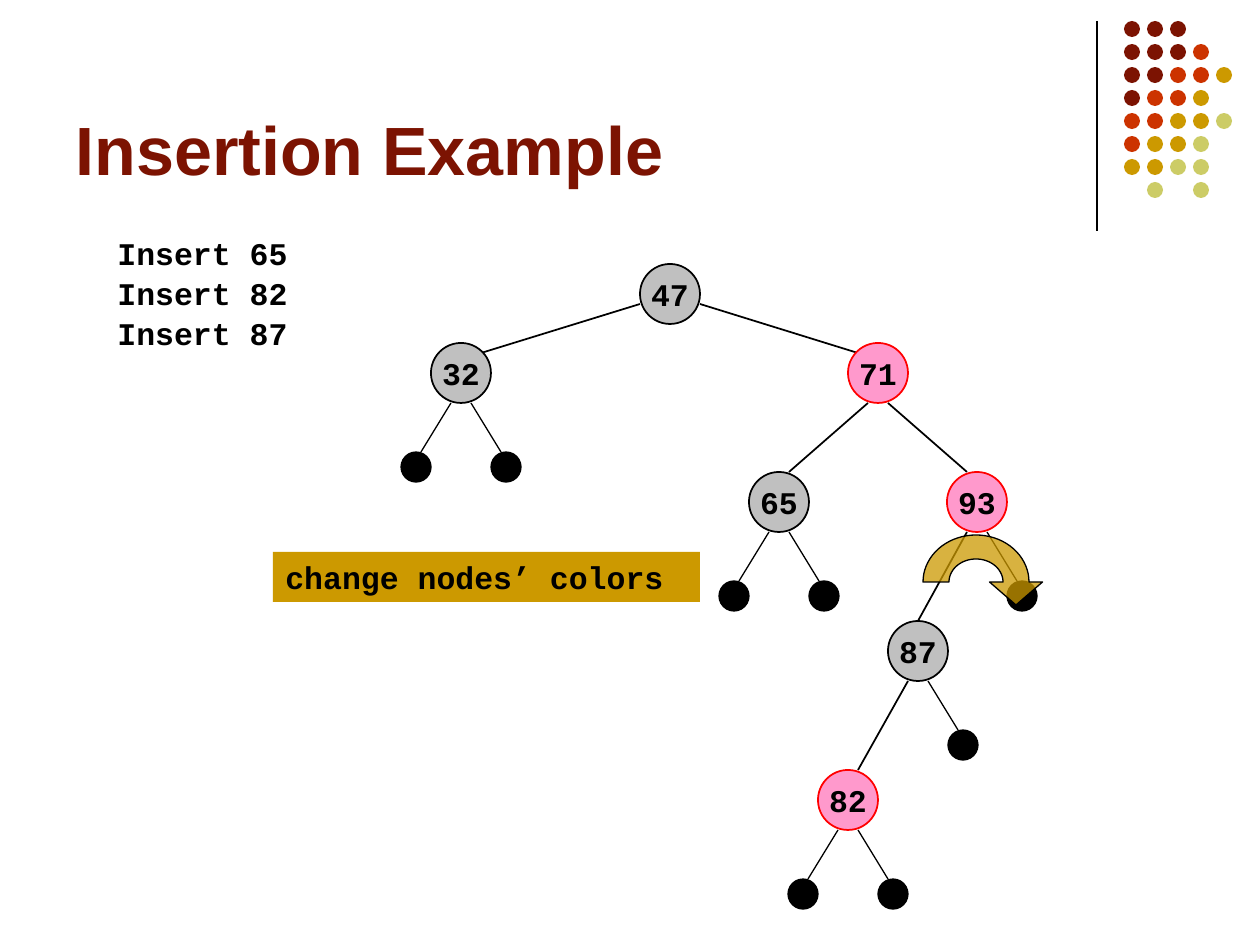
import math

from lxml import etree
from pptx import Presentation
from pptx import util as u
from pptx.dml.color import RGBColor
from pptx.enum import shapes, text
from pptx.oxml.ns import qn

EMU_PER_PX = 914400 / 126
BLACK, MAROON, RUST, GOLD, OLIVE = "000000", "7C1302", "CC3300", "CC9900", "CCCC66"
GREY, PINK, RED = "C0C0C0", "FF99CC", "FF0000"

DOT_COLORS = {"M": MAROON, "R": RUST, "G": GOLD, "O": OLIVE}
DOT_ROWS = ["MMM", "MMMR", "MMRRG", "MRRG", "RRGGO", "RGGO", "GGOO", " O O"]

# label: (centre x, centre y, is red, sides that carry a leaf)
NODES = {
    "47": (670, 294, False, ()),
    "32": (461, 373, False, (-1, 1)),
    "71": (878, 373, True, ()),
    "65": (779, 502, False, (-1, 1)),
    "93": (977, 502, True, (1,)),
    "87": (918, 651, False, (1,)),
    "82": (848, 800, True, (-1, 1)),
}
# parent, child, side, offset from the parent's centre, offset from the child's centre
EDGES = [
    ("47", "32", -1, (30, 10), (20, -20)),
    ("47", "71", 1, (30, 10), (20, -20)),
    ("71", "65", -1, (10, 30), (10, -30)),
    ("71", "93", 1, (10, 30), (10, -30)),
    ("93", "87", -1, (10, 30), (0, -30)),
    ("87", "82", -1, (10, 30), (10, -30)),
]


def px(length):
    return u.Emu(round(length * EMU_PER_PX))


def rgb(value):
    return RGBColor.from_string(value)


class SlideBuilder:
    """Holds the style and the slide being filled."""

    def __init__(self, page):
        self.page = page
        self.font = "Courier New"
        self.size = 18

    def set_text(self, box, words, font=None, size=None, color=BLACK, align=text.PP_ALIGN.LEFT):
        box.text_frame.text = words
        para = box.text_frame.paragraphs[0]
        para.alignment = align
        for span in para.runs:
            span.font.name = font or self.font
            span.font.size = u.Pt(size or self.size)
            span.font.bold = True
            span.font.color.rgb = rgb(color)

    def paint(self, shape, fill, line=None, width=1):
        shape.shadow.inherit = False
        shape.fill.solid()
        shape.fill.fore_color.rgb = rgb(fill)
        if line:
            shape.line.color.rgb = rgb(line)
            shape.line.width = u.Pt(width)
        else:
            shape.line.fill.background()

    def title(self, words, left, top, width, height):
        box = self.page.shapes.title
        box.left, box.top, box.width, box.height = map(px, (left, top, width, height))
        box.text_frame.auto_size = text.MSO_AUTO_SIZE.NONE
        box.text_frame.vertical_anchor = text.MSO_ANCHOR.BOTTOM
        self.set_text(box, words, font="Arial", size=39, color=MAROON)

    def text_box(self, words, left, top, width, height):
        box = self.page.shapes.add_textbox(*map(px, (left, top, width, height)))
        box.text_frame.word_wrap = True
        self.set_text(box, words)

    def banner(self, words, left, top, width, height):
        box = self.page.shapes.add_shape(
            shapes.MSO_SHAPE.RECTANGLE, *map(px, (left, top, width, height)))
        self.paint(box, GOLD)
        box.text_frame.vertical_anchor = text.MSO_ANCHOR.MIDDLE
        self.set_text(box, words)

    def circle(self, x, y, diameter, fill, line=None, width=1):
        corner = (x - diameter / 2, y - diameter / 2)
        disc = self.page.shapes.add_shape(
            shapes.MSO_SHAPE.OVAL, *map(px, (*corner, diameter, diameter)))
        self.paint(disc, fill, line, width)
        return disc

    def line(self, x1, y1, x2, y2, width):
        link = self.page.shapes.add_connector(
            shapes.MSO_CONNECTOR.STRAIGHT, *map(px, (x1, y1, x2, y2)))
        link.line.color.rgb = rgb(BLACK)
        link.line.width = u.Pt(width)
        etree.SubElement(link._element.spPr, qn("a:effectLst"))

    def node(self, label, x, y, is_red):
        disc = self.circle(x, y, 60, PINK if is_red else GREY, RED if is_red else BLACK)
        frame = disc.text_frame
        frame.margin_left = frame.margin_right = frame.margin_top = frame.margin_bottom = 0
        frame.word_wrap = False
        frame.vertical_anchor = text.MSO_ANCHOR.MIDDLE
        self.set_text(disc, label, align=text.PP_ALIGN.CENTER)

    def leaf(self, x, y, side):
        """Hang a leaf below the node centred at x, y."""
        leaf_x, leaf_y = x + side * 45, y + 94
        self.line(x + side * 10, y + 30, leaf_x - side * 5, leaf_y - 15, 0.75)
        self.circle(leaf_x, leaf_y, 30, BLACK, BLACK, 0.75)

    def rotation_arrow(self, x, y, outer, inner):
        """Draw a clockwise half-ring arrow; outer and inner are (x, y) radii."""
        def arc(radii, degrees):
            return [(x + radii[0] * math.cos(math.radians(a)),
                     y - radii[1] * math.sin(math.radians(a))) for a in degrees]

        middle, reach = x + (outer[0] + inner[0]) / 2, outer[0] / 2
        head = [(middle + reach, y), (middle, y + 23), (middle - reach, y)]
        points = arc(inner, range(0, 181, 5)) + arc(outer, range(180, -1, -5)) + head
        outline = self.page.shapes.build_freeform(*map(px, points[0]))
        outline.add_line_segments([tuple(map(px, point)) for point in points[1:]])
        arrow = outline.convert_to_shape()
        self.paint(arrow, GOLD, BLACK, 0.75)
        color = arrow._element.spPr.find(qn("a:solidFill"))[0]
        etree.SubElement(color, qn("a:alpha"), val="75000")


def main():
    deck = Presentation()
    deck.slide_width, deck.slide_height = px(1260), px(945)
    slide = SlideBuilder(deck.slides.add_slide(deck.slide_layouts[5]))

    slide.line(1097, 21, 1097, 231, 0.75)
    for row, marks in enumerate(DOT_ROWS):
        for column, mark in enumerate(marks):
            if mark in DOT_COLORS:
                slide.circle(1132 + column * 23, 29 + row * 23, 16, DOT_COLORS[mark])

    slide.title("Insertion Example", 63, 16, 1040, 179)
    for row, value in enumerate((65, 82, 87)):
        slide.text_box(f"Insert {value}", 105, 228 + row * 40, 328, 50)

    for parent, child, side, start, end in EDGES:
        x1, y1 = NODES[parent][:2]
        x2, y2 = NODES[child][:2]
        slide.line(x1 + side * start[0], y1 + start[1], x2 - side * end[0], y2 + end[1], 1)
    for label, (x, y, is_red, leaf_sides) in NODES.items():
        for side in leaf_sides:
            slide.leaf(x, y, side)
        slide.node(label, x, y, is_red)

    slide.banner("change nodes’ colors", 273, 552, 427, 50)
    slide.rotation_arrow(976, 582, (53, 47), (27, 23))
    deck.save("out.pptx")


if __name__ == "__main__":
    main()
